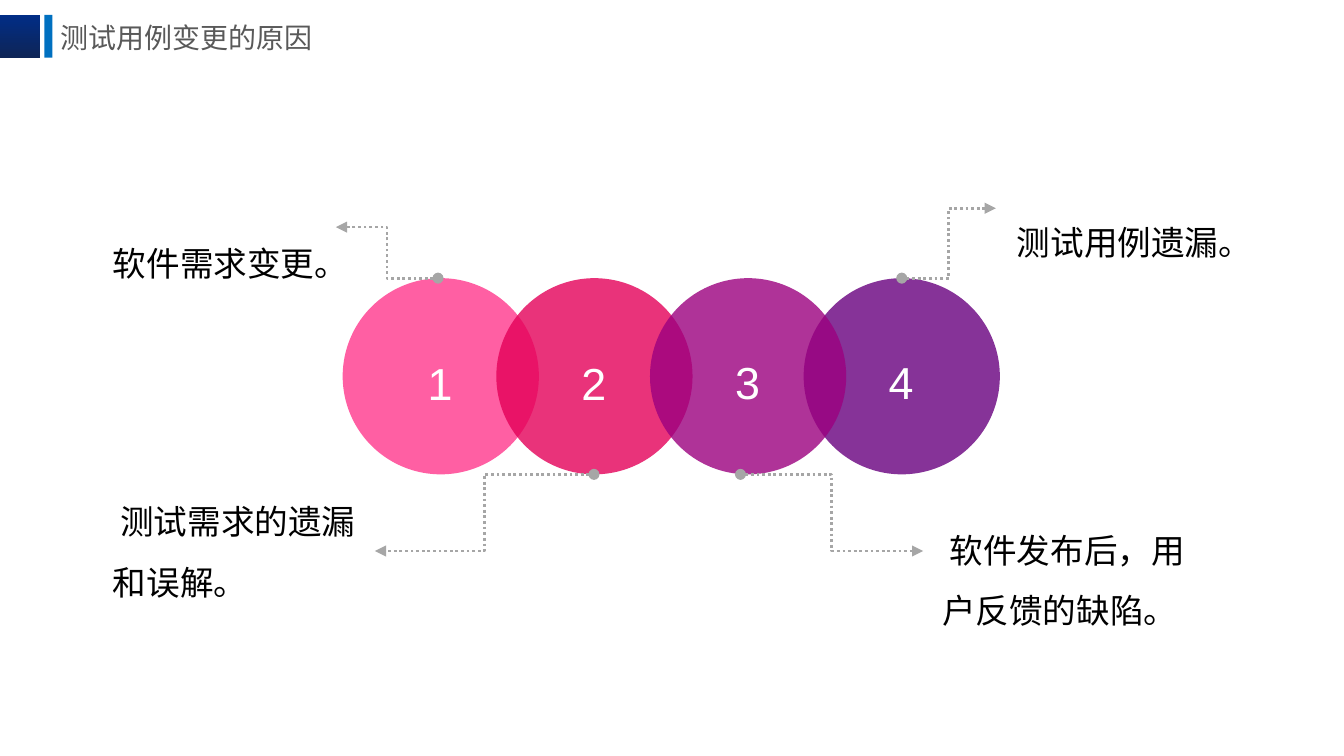
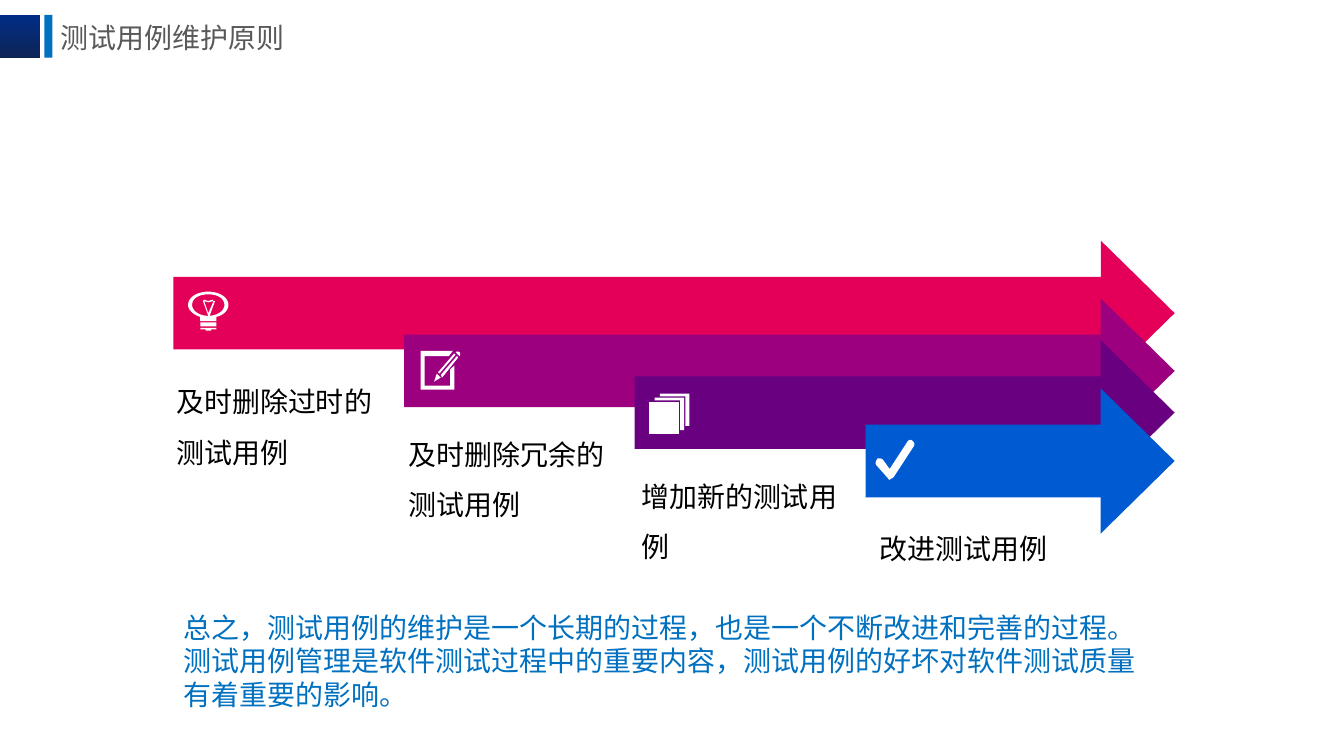
import lxml.etree
import pptx
import pptx.dml.color
import pptx.enum.dml
import pptx.enum.shapes
import pptx.enum.text
import pptx.oxml.ns
import pptx.util

Inches = pptx.util.Inches
Pt = pptx.util.Pt
RGBColor = pptx.dml.color.RGBColor
qn = pptx.oxml.ns.qn
SHAPE = pptx.enum.shapes.MSO_SHAPE
MIDDLE = pptx.enum.text.MSO_ANCHOR.MIDDLE
CENTER = pptx.enum.text.PP_ALIGN.CENTER
GROW = pptx.enum.text.MSO_AUTO_SIZE.SHAPE_TO_FIT_TEXT

NAVY = RGBColor(0x01, 0x2D, 0x86)
DARK_NAVY = RGBColor(0x0E, 0x25, 0x57)
BLUE = RGBColor(0x00, 0x70, 0xC0)
TITLE_GRAY = RGBColor(0x59, 0x59, 0x59)
LINE_GRAY = RGBColor(0xA6, 0xA6, 0xA6)
PINK = RGBColor(0xFF, 0x38, 0x8C)
CRIMSON = RGBColor(0xE4, 0x00, 0x59)
MAGENTA = RGBColor(0x9C, 0x00, 0x7F)
PURPLE = RGBColor(0x68, 0x00, 0x7F)
BRIGHT_BLUE = RGBColor(0x00, 0x5B, 0xD3)
WHITE = RGBColor(0xFF, 0xFF, 0xFF)
BLACK = RGBColor(0x00, 0x00, 0x00)

SLIDE_WIDTH = Inches(10)
SLIDE_HEIGHT = SLIDE_WIDTH * 9 // 16

CJK_FONT = "Noto Sans CJK SC"
NO_INSET = (0, 0)
SMALL_INSET = (0.07, 0.04)
NORMAL_INSET = (0.1, 0.05)

CIRCLE_SIZE = 1.46
CIRCLE_LEFT, CIRCLE_TOP = 2.55, 2.07
CIRCLE_STEP = (5.98 - CIRCLE_LEFT) / 3
ARROW_RIGHT, ARROW_HEIGHT = 8.74, 1.08


def apply(target, values):
    for name, value in values.items():
        setattr(target, name, value)


def paint(shape, color):
    shape.shadow.inherit = False
    shape.line.fill.background()
    shape.fill.solid()
    shape.fill.fore_color.rgb = color
    return shape


def add_block(shapes, kind, frame, color):
    return paint(shapes.add_shape(kind, *map(Inches, frame)), color)


def add_text(page, frame, text, size, color, font=CJK_FONT, inset=SMALL_INSET,
             paragraph_format=None, frame_format=None):
    box = page.shapes.add_textbox(*map(Inches, frame))
    across, down = map(Inches, inset)
    apply(box.text_frame, {
        "word_wrap": True, "auto_size": GROW,
        "margin_left": across, "margin_right": across,
        "margin_top": down, "margin_bottom": down,
        **(frame_format or {}),
    })
    para = box.text_frame.paragraphs[0]
    apply(para, paragraph_format or {})
    span = para.add_run()
    span.text = text
    apply(span.font, {"name": font, "size": Pt(size)})
    span.font.color.rgb = color
    east_asian = lxml.etree.SubElement(span.font._element, qn("a:ea"))
    east_asian.set("typeface", font)


def flatten(contour, steps=12):
    """Turn six-number cubic curve items into points along the curve."""
    points = []
    for item in contour:
        if len(item) == 2:
            points.append(item)
            continue
        corners = [points[-1], item[:2], item[2:4], item[4:]]
        for step in range(1, steps + 1):
            t = step / steps
            weights = ((1 - t) ** 3, 3 * t * (1 - t) ** 2, 3 * t * t * (1 - t), t ** 3)
            points.append(tuple(sum(weight * corner[axis] for weight, corner in zip(weights, corners))
                                for axis in (0, 1)))
    return [(Inches(x), Inches(y)) for x, y in points]


def add_outline(shapes, color, *contours):
    first, *others = map(flatten, contours)
    builder = shapes.build_freeform(*first[0], scale=1.0)
    builder.add_line_segments(first[1:], close=True)
    for points in others:
        builder.move_to(*points[0])
        builder.add_line_segments(points[1:], close=True)
    return paint(builder.convert_to_shape(), color)


def add_dotted_elbow(page, start, end):
    elbow = page.shapes.add_connector(pptx.enum.shapes.MSO_CONNECTOR.ELBOW,
                                      *map(Inches, start + end))
    elbow.line.color.rgb = LINE_GRAY
    apply(elbow.line, {"width": Pt(1.5),
                       "dash_style": pptx.enum.dml.MSO_LINE.ROUND_DOT})
    properties = elbow.element.spPr
    line = properties.find(qn("a:ln"))
    for tag, kind in (("a:headEnd", "oval"), ("a:tailEnd", "triangle")):
        lxml.etree.SubElement(line, qn(tag)).set("type", kind)
    lxml.etree.SubElement(properties, qn("a:effectLst"))


def add_titled_page(deck, title):
    page = deck.slides.add_slide(deck.slide_layouts[6])
    band = add_block(page.shapes, SHAPE.RECTANGLE, (0, 0.11, 0.3, 0.32), NAVY)
    band.fill.gradient()
    band.fill.gradient_angle = 270
    for stop, color, position in zip(band.fill.gradient_stops, (NAVY, DARK_NAVY), (0, 1)):
        stop.color.rgb = color
        stop.position = position
    add_block(page.shapes, SHAPE.RECTANGLE, (0.33, 0.11, 0.06, 0.32), BLUE)
    add_text(page, (0.35, 0.05, 2.45, 0.46), title, 15, TITLE_GRAY, inset=NORMAL_INSET,
             frame_format={"vertical_anchor": MIDDLE,
                           "auto_size": pptx.enum.text.MSO_AUTO_SIZE.NONE})
    return page


def add_circle(page, index, color):
    left = CIRCLE_LEFT + index * CIRCLE_STEP
    circle = add_block(page.shapes, SHAPE.OVAL,
                       (left, CIRCLE_TOP, CIRCLE_SIZE, CIRCLE_SIZE), color)
    tint = circle.element.spPr.find(qn("a:solidFill"))[0]
    lxml.etree.SubElement(tint, qn("a:alpha")).set("val", "80000")


def add_step_arrow(page, left, top, color):
    quarter = ARROW_HEIGHT / 4
    neck = ARROW_RIGHT - 0.55
    add_outline(page.shapes, color, [
        (left, top + quarter), (neck, top + quarter), (neck, top),
        (ARROW_RIGHT, top + 2 * quarter), (neck, top + 4 * quarter),
        (neck, top + 3 * quarter), (left, top + 3 * quarter)])


def add_check_icon(page):
    add_outline(page.shapes, WHITE, [
        (6.62, 3.57), (6.61, 3.57, 6.61, 3.56, 6.6, 3.55), (6.52, 3.46),
        (6.51, 3.44, 6.52, 3.43, 6.53, 3.41), (6.54, 3.41, 6.56, 3.41, 6.57, 3.42),
        (6.62, 3.49), (6.75, 3.29), (6.76, 3.27, 6.78, 3.27, 6.79, 3.28),
        (6.8, 3.29, 6.81, 3.3, 6.8, 3.32), (6.65, 3.55),
        (6.64, 3.56, 6.63, 3.56, 6.62, 3.57)])


def add_stack_icon(page):
    shapes = page.shapes.add_group_shape().shapes
    for left, top in ((4.87, 2.96), (4.91, 2.93)):
        right, bottom = left + 0.22, top + 0.24
        add_outline(shapes, WHITE, [
            (left, top), (right, top), (right, bottom), (right - 0.03, bottom),
            (right - 0.03, top + 0.02), (left, top + 0.02)])
    add_outline(shapes, WHITE, [(4.83, 2.99), (5.05, 2.99), (5.05, 3.23), (4.83, 3.23)])


def add_bulb_icon(page):
    shapes = page.shapes.add_group_shape().shapes
    add_outline(
        shapes, WHITE,
        [(1.7, 2.27), (1.7, 2.21, 1.63, 2.17, 1.55, 2.17),
         (1.47, 2.17, 1.4, 2.21, 1.4, 2.27), (1.4, 2.31, 1.45, 2.35, 1.5, 2.36),
         (1.49, 2.36), (1.49, 2.39), (1.61, 2.39), (1.61, 2.36), (1.6, 2.36),
         (1.66, 2.35, 1.7, 2.31, 1.7, 2.27)],
        [(1.55, 2.35), (1.48, 2.35, 1.43, 2.31, 1.43, 2.27),
         (1.43, 2.22, 1.48, 2.19, 1.55, 2.19), (1.62, 2.19, 1.67, 2.22, 1.67, 2.27),
         (1.67, 2.31, 1.62, 2.35, 1.55, 2.35)])
    add_block(shapes, SHAPE.RECTANGLE, (1.49, 2.4, 0.12, 0.03), WHITE)
    add_outline(shapes, WHITE, [
        (1.49, 2.45), (1.53, 2.45), (1.53, 2.46), (1.57, 2.46), (1.57, 2.45),
        (1.61, 2.45), (1.61, 2.44), (1.49, 2.44)])
    add_outline(
        shapes, WHITE,
        [(1.59, 2.24), (1.58, 2.23), (1.55, 2.24), (1.52, 2.23), (1.51, 2.24),
         (1.55, 2.35), (1.56, 2.35), (1.6, 2.24)],
        [(1.55, 2.33), (1.52, 2.24), (1.55, 2.25), (1.59, 2.24)])


def add_pencil_icon(page):
    shapes = page.shapes.add_group_shape().shapes
    tip = [(3.28, 2.81), (3.25, 2.78), (3.23, 2.84)]
    upper_shaft = [(3.38, 2.63), (3.26, 2.77), (3.27, 2.78), (3.39, 2.64)]
    lower_shaft = [(3.28, 2.79), (3.29, 2.81), (3.41, 2.66), (3.4, 2.65)]
    eraser = [(3.42, 2.62), (3.4, 2.61, 3.39, 2.62, 3.39, 2.62), (3.42, 2.65),
              (3.42, 2.65, 3.43, 2.64, 3.42, 2.62)]
    sheet = [(3.35, 2.87), (3.16, 2.87), (3.16, 2.65), (3.34, 2.65), (3.37, 2.61),
             (3.13, 2.61), (3.13, 2.9), (3.38, 2.9), (3.38, 2.72), (3.35, 2.75)]
    for contour in (tip, upper_shaft, lower_shaft, eraser, sheet):
        add_outline(shapes, WHITE, contour)


def build_reasons(deck):
    page = add_titled_page(deck, "测试用例变更的原因")
    for index, color in ((0, PINK), (1, CRIMSON), (3, PURPLE), (2, MAGENTA)):
        add_circle(page, index, color)
    for index, top in enumerate((2.57, 2.57, 2.56, 2.56)):
        add_text(page, (2.95 + index * CIRCLE_STEP, top, 0.65, 0.48), str(index + 1), 24,
                 WHITE, font="Arial", inset=NO_INSET,
                 paragraph_format={"alignment": CENTER, "line_spacing": 1.2})
    reasons = (
        ((3.26, 2.07), (2.5, 1.69), (0.77, 1.62, 2.03, 0.53), "软件需求变更。"),
        ((4.42, 3.53), (2.79, 4.1), (0.77, 3.54, 2.03, 0.98), " 测试需求的遗漏 和误解。"),
        ((6.71, 2.07), (7.41, 1.55), (7.44, 1.46, 2.04, 0.53), " 测试用例遗漏。"),
        ((5.51, 3.53), (6.87, 4.1), (6.94, 3.75, 2.04, 0.98), " 软件发布后，用户反馈的缺陷。"),
    )
    for start, end, frame, text in reasons:
        add_dotted_elbow(page, start, end)
        add_text(page, frame, text, 18, BLACK, paragraph_format={"line_spacing": 1.5})


def build_principles(deck):
    page = add_titled_page(deck, "测试用例维护原则")
    captions = (
        (2.7, 1.64, 0.83, "及时删除过时的测试用例"),
        (3.09, 1.63, 0.83, "及时删除冗余的测试用例"),
        (3.4, 1.63, 0.83, "增加新的测试用例"),
        (3.79, 1.68, 0.45, " 改进测试用例"),
    )
    for index, (top, width, height, text) in enumerate(captions):
        add_text(page, (1.24 + index * 1.73, top, width, height), text, 15, BLACK,
                 paragraph_format={"line_spacing": 1.5})
    steps = ((1.79, CRIMSON), (2.22, MAGENTA), (2.53, PURPLE), (2.89, BRIGHT_BLUE))
    for index, (top, color) in enumerate(steps):
        add_step_arrow(page, 1.29 + index * (6.44 - 1.29) / 3, top, color)
    for add_icon in (add_check_icon, add_stack_icon, add_bulb_icon, add_pencil_icon):
        add_icon(page)
    add_text(page, (1.27, 4.49, 7.45, 0.86),
             "总之，测试用例的维护是一个长期的过程，也是一个不断改进和完善的过程。 "
             "测试用例管理是软件测试过程中的重要内容，测试用例的好坏对软件测试质量有着重要的影响。",
             15, BLUE, font="Calibri", inset=NORMAL_INSET)


def main():
    deck = pptx.Presentation()
    deck.slide_width = SLIDE_WIDTH
    deck.slide_height = SLIDE_HEIGHT
    build_reasons(deck)
    build_principles(deck)
    deck.save("out.pptx")


if __name__ == "__main__":
    main()
